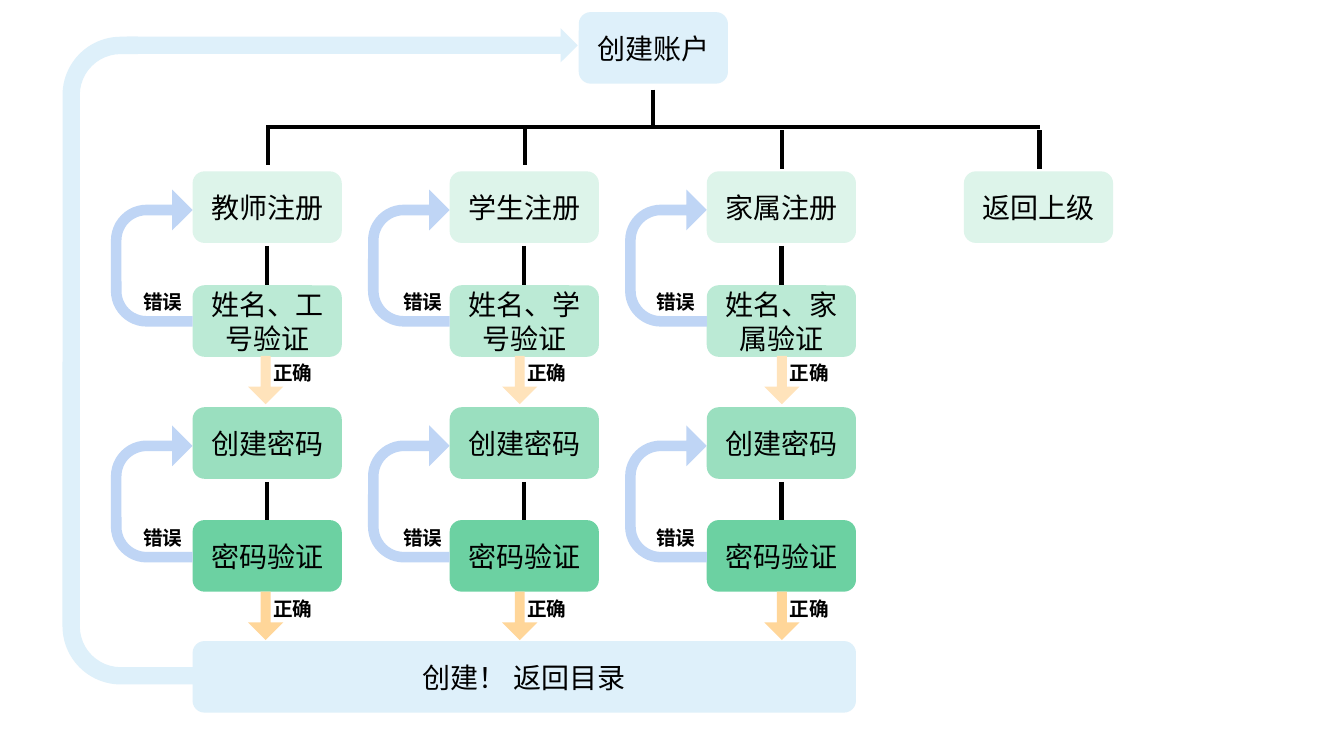
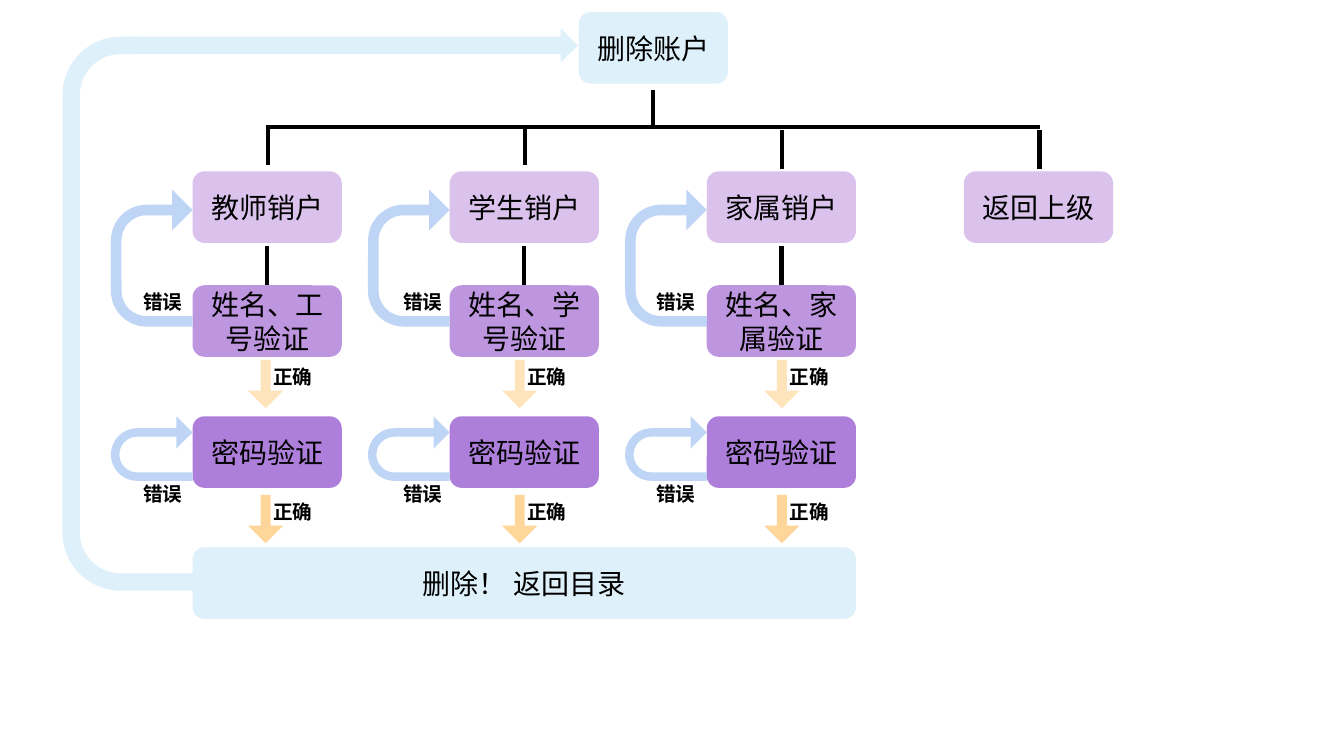
from dataclasses import dataclass

from lxml.etree import SubElement
from pptx import Presentation
from pptx.dml.color import RGBColor
from pptx.enum.shapes import MSO_CONNECTOR, MSO_SHAPE
from pptx.enum.text import MSO_ANCHOR, MSO_AUTO_SIZE, PP_ALIGN
from pptx.oxml.ns import qn
from pptx.util import Emu, Pt

EMU_PER_PX = 9144
COLORS = {
    "black": "000000", "white": "FFFFFF", "sky": "DEF0FA", "loop": "BFD5F5",
    "ok_pale": "FFE3BB", "ok_deep": "FFD699",
    "green1": "DDF4EA", "green2": "BBEAD5", "green3": "9ADFBF", "green4": "6CD1A2",
    "purple1": "DAC2ED", "purple2": "BE96E0", "purple3": "AE7FDA",
}
BOX_FONT, LABEL_FONT = "Noto Sans CJK JP", "Noto Sans CJK SC"
BOX_W, BOX_H = 148, 71
COLUMN_X, STEM_X, PITCH = 191, 266, 255
TRUNK_Y, TOP_ROW_Y = 126, 170
LOOP_W = 81
UTURN = (0.13, 0.25, 0.25, 0.438, 1)


@dataclass(frozen=True)
class Column:
    role: str
    identity: str
    error_x: int
    ok_x: int
    stem_y: int


@dataclass(frozen=True)
class Step:
    text: str
    color: str
    y: int
    linked: bool = False


@dataclass(frozen=True)
class Check:
    loop_y: int
    loop_h: int
    error_y: int
    ok_y: int
    ok_color: str


@dataclass(frozen=True)
class Flow:
    action: str
    steps: tuple[Step, ...]
    checks: tuple[Check, ...]
    finish_y: int


COLUMNS = (
    Column("教师", "工号", 125, 246, 125),
    Column("学生", "学号", 383, 498, 125),
    Column("家属", "家属", 634, 758, 129),
)
FLOWS = (
    Flow(
        "创建",
        (
            Step("{role}注册", "green1", TOP_ROW_Y, linked=True),
            Step("姓名、{identity}验证", "green2", 283),
            Step("创建密码", "green3", 404, linked=True),
            Step("密码验证", "green4", 516),
        ),
        (Check(188, 136, 283, 353, "ok_pale"), Check(422, 136, 517, 587, "ok_deep")),
        636,
    ),
    Flow(
        "删除",
        (
            Step("{role}销户", "purple1", TOP_ROW_Y, linked=True),
            Step("姓名、{identity}验证", "purple2", 283),
            Step("密码验证", "purple3", 413),
        ),
        (Check(188, 136, 283, 357, "ok_pale"), Check(413, 64, 473, 491, "ok_deep")),
        543,
    ),
)


def px(n: float) -> Emu:
    return Emu(round(n * EMU_PER_PX))


def rgb(name: str) -> RGBColor:
    return RGBColor.from_string(COLORS[name])


def write(tf, text: str, font: str, size: int, bold: bool = False) -> None:
    tf.word_wrap = True
    p = tf.paragraphs[0]
    p.text = text
    p.alignment = PP_ALIGN.CENTER
    p.font.size = Pt(size)
    p.font.bold = bold
    p.font.color.rgb = rgb("black")
    p.font.name = font
    SubElement(p.font._rPr, qn("a:ea")).set("typeface", font)


def add_shape(slide, kind, x: float, y: float, w: int, h: int, color: str, adj=()):
    sp = slide.shapes.add_shape(kind, px(x), px(y), px(w), px(h))
    sp.shadow.inherit = False
    sp.fill.solid()
    sp.fill.fore_color.rgb = rgb(color)
    sp.line.fill.background()
    for i, value in enumerate(adj):
        sp.adjustments[i] = value
    return sp


def add_box(slide, text: str, x: int, y: int, color: str, w: int = BOX_W) -> None:
    sp = add_shape(slide, MSO_SHAPE.ROUNDED_RECTANGLE, x, y, w, BOX_H, color)
    sp.text_frame.vertical_anchor = MSO_ANCHOR.MIDDLE
    write(sp.text_frame, text, BOX_FONT, 20)


def add_label(slide, text: str, x: int, y: int) -> None:
    tf = slide.shapes.add_textbox(px(x), px(y), px(73), px(34)).text_frame
    write(tf, text, LABEL_FONT, 14, bold=True)
    tf.auto_size = MSO_AUTO_SIZE.SHAPE_TO_FIT_TEXT


def add_line(slide, x1: int, y1: int, x2: int, y2: int) -> None:
    line = slide.shapes.add_connector(
        MSO_CONNECTOR.STRAIGHT, px(x1), px(y1), px(x2), px(y2))
    line.line.color.rgb = rgb("black")
    line.line.width = Pt(3)
    SubElement(line._element.spPr, qn("a:effectLst"))


def add_loop(slide, x: int, y: int, w: int, h: int, color: str) -> None:
    shift = (w - h) / 2
    sp = add_shape(slide, MSO_SHAPE.U_TURN_ARROW, x + shift, y - shift, h, w, color, UTURN)
    sp.rotation = 270


def draw_tree(slide, flow: Flow) -> None:
    add_box(slide, f"{flow.action}账户", 574, 12, "sky")
    add_line(slide, 648, 89, 648, 128)
    add_line(slide, 264, TRUNK_Y, 1032, TRUNK_Y)
    last = len(COLUMNS)
    stem_tops = [column.stem_y for column in COLUMNS] + [129]
    for i, top in enumerate(stem_tops):
        x = STEM_X + i * PITCH
        add_line(slide, x, top, x, top + 39)
    add_box(slide, "返回上级", COLUMN_X + last * PITCH, TOP_ROW_Y, flow.steps[0].color)


def draw_column(slide, flow: Flow, column: Column, index: int) -> None:
    x = COLUMN_X + index * PITCH
    link_x = STEM_X - 1 + index * PITCH
    for step in flow.steps:
        text = step.text.format(role=column.role, identity=column.identity)
        add_box(slide, text, x, step.y, step.color)
        if step.linked:
            add_line(slide, link_x, step.y + 74, link_x, step.y + 113)
    for check in flow.checks:
        add_loop(slide, x - LOOP_W, check.loop_y, LOOP_W, check.loop_h, "loop")
        add_label(slide, "错误", column.error_x, check.error_y)
        add_shape(slide, MSO_SHAPE.DOWN_ARROW, column.ok_x, check.ok_y, 35, 48,
                  check.ok_color, (0.281, 0.5))
        add_label(slide, "正确", column.ok_x + 8, check.ok_y)


def draw_return(slide, flow: Flow) -> None:
    add_box(slide, f"{flow.action}！ 返回目录", COLUMN_X, flow.finish_y, "sky", 658)
    add_loop(slide, 62, 12, 132, flow.finish_y + 31, "sky")
    add_shape(slide, MSO_SHAPE.RECTANGLE, 137, 0, 131, 104, "white")
    add_shape(slide, MSO_SHAPE.RIGHT_ARROW, 126, 28, 447, 34, "sky")


def main() -> None:
    prs = Presentation()
    prs.slide_width, prs.slide_height = px(1333), px(750)
    for flow in FLOWS:
        slide = prs.slides.add_slide(prs.slide_layouts[6])
        draw_tree(slide, flow)
        for i, column in enumerate(COLUMNS):
            draw_column(slide, flow, column, i)
        draw_return(slide, flow)
    prs.save("out.pptx")


if __name__ == "__main__":
    main()
